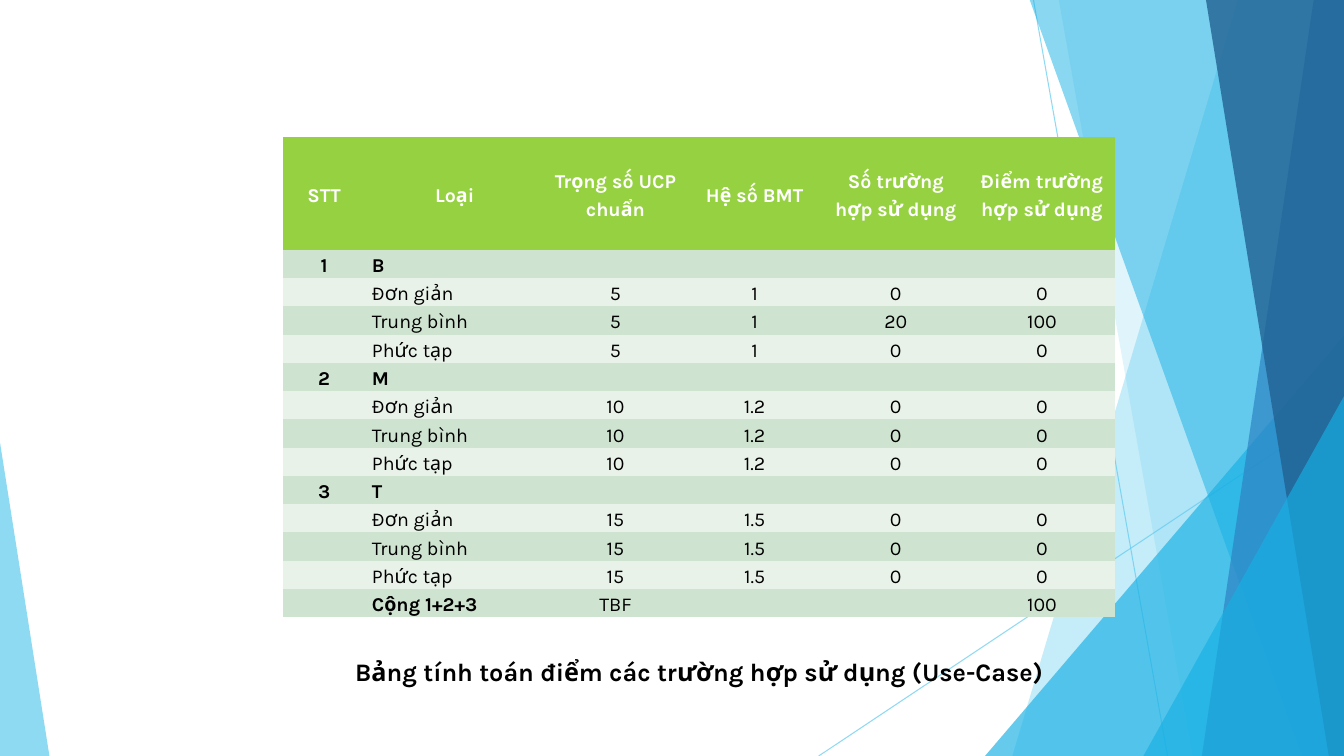
from dataclasses import dataclass

from lxml import etree
from pptx import Presentation
from pptx.dml.color import RGBColor
from pptx.enum.shapes import MSO_CONNECTOR, MSO_SHAPE
from pptx.enum.text import MSO_ANCHOR, MSO_AUTO_SIZE, PP_ALIGN
from pptx.oxml.ns import qn
from pptx.util import Inches, Pt

STRAIGHT = MSO_CONNECTOR.STRAIGHT
TRIANGLE = MSO_SHAPE.ISOSCELES_TRIANGLE
CENTER = PP_ALIGN.CENTER
JUSTIFY = PP_ALIGN.JUSTIFY
TOP = MSO_ANCHOR.TOP
MIDDLE = MSO_ANCHOR.MIDDLE
GROW = MSO_AUTO_SIZE.SHAPE_TO_FIT_TEXT
NO_GRID_STYLE = "{2D5ABB26-0587-4C30-8999-92F81FD0307C}"


@dataclass(frozen=True)
class Theme:
    font: str = "Karla"
    text: str = "000000"
    header_text: str = "FFFFFF"
    header: str = "96D141"
    band_dark: str = "CFE4D0"
    band_light: str = "E9F2E9"
    sky: str = "5FCBEF"
    cyan: str = "17B0E4"
    blue: str = "2E83C3"
    navy: str = "226292"
    table_size: int = 14
    caption_size: int = 18


theme = Theme()


def write_text(frame, text, size, color=theme.text, bold=False, align=CENTER, leading=None, gap=None):
    para = frame.paragraphs[0]
    para.alignment = align
    para.line_spacing = leading
    para.space_before = para.space_after = gap
    span = para.add_run()
    span.text = text
    span.font.name = theme.font
    span.font.size = Pt(size)
    span.font.bold = bold
    span.font.color.rgb = RGBColor.from_string(color)


def paint(fill, color, opacity):
    fill.solid()
    fill.fore_color.rgb = RGBColor.from_string(color)
    tint = next(fill._xPr.iter(qn("a:srgbClr")))
    etree.SubElement(tint, qn("a:alpha")).set("val", str(opacity * 1000))


deck = Presentation()
deck.slide_width = Inches(13.33)
deck.slide_height = Inches(7.5)
page = deck.slides.add_slide(deck.slide_layouts[6])
shapes = page.shapes

for start_x, start_y, end_x, end_y in [(10.25, 0, 11.58, 7.5), (13.33, 4.03, 8.12, 7.5)]:
    ray = shapes.add_connector(STRAIGHT, Inches(start_x), Inches(start_y), Inches(end_x), Inches(end_y))
    ray.line.width = Pt(0.75)
    paint(ray.line.fill, theme.sky, 70)
    etree.SubElement(ray._element.spPr, qn("a:effectLst"))

facets = [
    ("band", 12.28, 10.04, theme.sky, 36),
    ("band", 10.5, 11.83, theme.sky, 20),
    ("triangle", (9.77, 3.33, 3.56, 4.17), 1, theme.cyan, 66),
    ("band", 10.21, 12.91, theme.cyan, 50),
    ("band", 13.03, 11.92, theme.blue, 70),
    ("band", 11.96, 13.18, theme.navy, 80),
    ("triangle", (11.34, 3.93, 1.99, 3.57), 1, theme.cyan, 66),
    ("triangle", (0, 4.39, 0.49, 3.11), 0, theme.sky, 70),
]
for kind, place, corner, color, opacity in facets:
    if kind == "band":
        outline = shapes.build_freeform(Inches(place), Inches(-0.01))
        corners = [(13.33, -0.01), (13.33, 7.5), (corner, 7.5)]
        outline.add_line_segments([(Inches(x), Inches(y)) for x, y in corners], close=True)
        facet = outline.convert_to_shape()
    else:
        facet = shapes.add_shape(TRIANGLE, *[Inches(length) for length in place])
        facet.adjustments[0] = corner
    facet.shadow.inherit = False
    facet.line.fill.background()
    paint(facet.fill, color, opacity)

caption = shapes.add_textbox(Inches(2.81), Inches(6.46), Inches(8.25), Inches(0.4))
caption.text_frame.word_wrap = True
caption.text_frame.auto_size = GROW
write_text(caption.text_frame, "Bảng tính toán điểm các trường hợp sử dụng (Use-Case)",
           size=theme.caption_size, bold=True)

rows = [["STT", "Loại", "Trọng số UCP chuẩn", "Hệ số BMT",
         "Số trường hợp sử dụng", "Điểm trường hợp sử dụng"]]
groups = [
    ("1", "B", "5", "1", [("0", "0"), ("20", "100"), ("0", "0")]),
    ("2", "M", "10", "1.2", [("0", "0")] * 3),
    ("3", "T", "15", "1.5", [("0", "0")] * 3),
]
for number, group, weight, factor, counts in groups:
    rows.append([number, group, "", "", "", ""])
    for level, (count, points) in zip(["Đơn giản", "Trung bình", "Phức tạp"], counts):
        rows.append(["", level, weight, factor, count, points])
rows.append(["", "Cộng 1+2+3", "TBF", "", "", "100"])

widths = [0.81, 1.78, 1.41, 1.35, 1.45, 1.45]
table = shapes.add_table(len(rows), len(widths), Inches(2.81), Inches(1.36),
                         Inches(8.25), Inches(4.76)).table
table._tbl.tblPr.find(qn("a:tableStyleId")).text = NO_GRID_STYLE
for column, width in zip(table.columns, widths):
    column.width = Inches(width)

for row_index, values in enumerate(rows):
    is_header = row_index == 0
    is_group = bool(values[0])
    is_total = row_index == len(rows) - 1
    table.rows[row_index].height = Inches(1.12 if is_header else 0.28)
    band = theme.header if is_header else theme.band_dark if row_index % 2 else theme.band_light
    for column_index, value in enumerate(values):
        cell = table.cell(row_index, column_index)
        cell.fill.solid()
        cell.fill.fore_color.rgb = RGBColor.from_string(band)
        cell.margin_left = cell.margin_right = Inches(0.07)
        cell.margin_top = cell.margin_bottom = 0
        cell.vertical_anchor = MIDDLE if is_header or column_index == 0 else TOP
        if value:
            write_text(cell.text_frame, value, size=theme.table_size,
                       color=theme.header_text if is_header else theme.text,
                       bold=is_group or (is_total and column_index == 1),
                       align=JUSTIFY if column_index == 1 and not is_header else CENTER,
                       leading=1.2, gap=Pt(6))
        else:
            ending = cell.text_frame.paragraphs[0]._p.get_or_add_endParaRPr()
            ending.set("sz", str(theme.table_size * 100))

deck.save("out.pptx")
